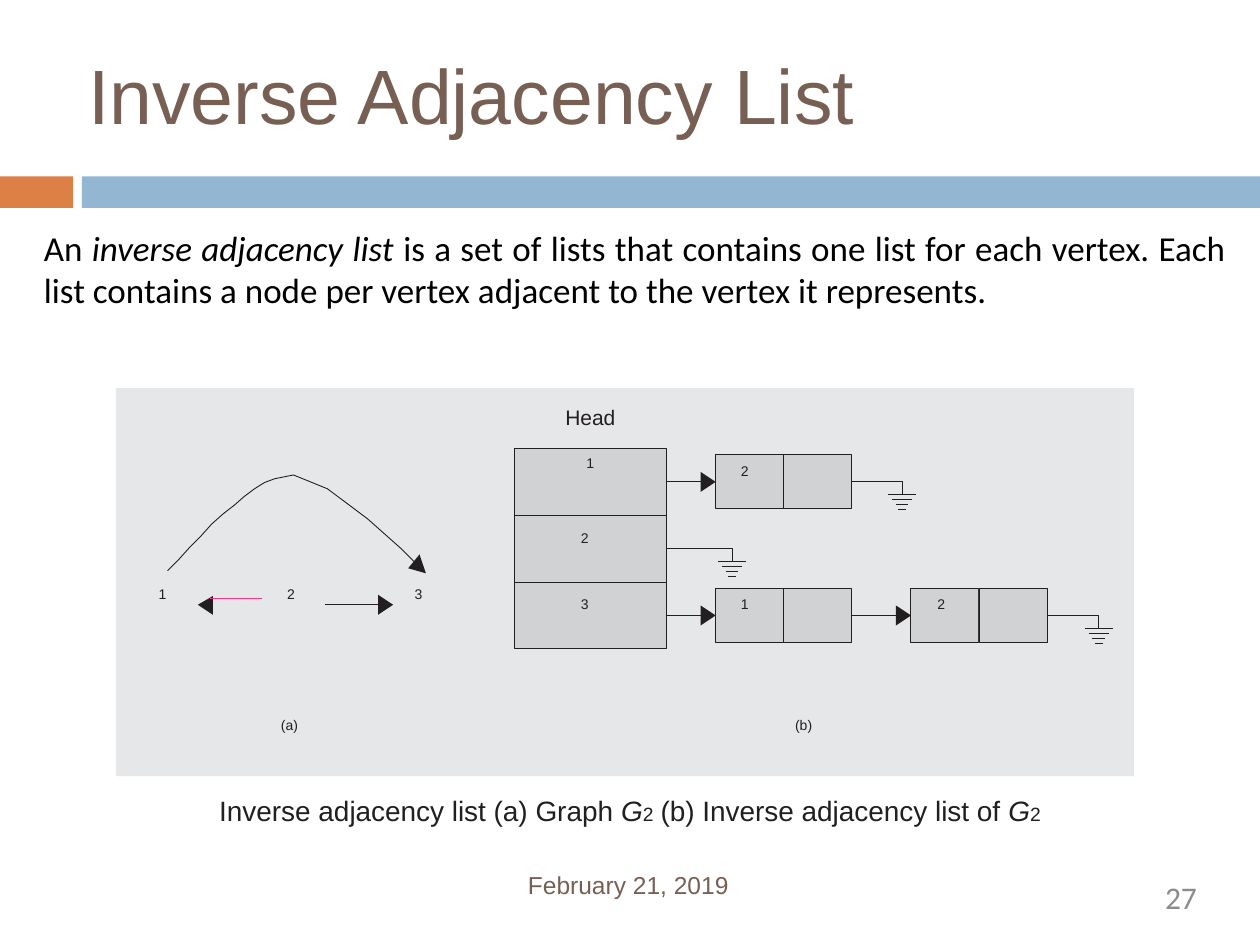
from lxml.etree import SubElement
from pptx import Presentation
from pptx.dml.color import RGBColor
from pptx.enum.shapes import MSO_CONNECTOR, MSO_SHAPE
from pptx.enum.text import MSO_ANCHOR, PP_ALIGN
from pptx.oxml.ns import qn
from pptx.util import Inches, Pt

INK, BROWN, CELL = "221F20", "775F54", "D1D2D4"

prs = Presentation()
prs.slide_width, prs.slide_height = Inches(10), Inches(7.5)
shapes = prs.slides.add_slide(prs.slide_layouts[6]).shapes


def paint(s, fill=None, line=None, width=0.5):
    """Set fill and line of a shape or connector, and drop its shadow."""
    if fill:
        s.fill.solid()
        s.fill.fore_color.rgb = RGBColor.from_string(fill)
    elif hasattr(s, "fill"):
        s.fill.background()
    if line:
        s.line.color.rgb = RGBColor.from_string(line)
        s.line.width = Pt(width)
    else:
        s.line.fill.background()
    SubElement(s._element.spPr, qn("a:effectLst"))


def text(x, y, w, h, *paras, size=8, color=INK, font="Arial", align=PP_ALIGN.LEFT,
         spacing=None, after=0, inset=(0, 0), anchor=MSO_ANCHOR.TOP):
    """Each paragraph is a list of (text, italic, size) runs; size may be None."""
    tf = shapes.add_textbox(Inches(x), Inches(y), Inches(w), Inches(h)).text_frame
    tf.word_wrap, tf.vertical_anchor = True, anchor
    tf.margin_left = tf.margin_right = Inches(inset[0])
    tf.margin_top = tf.margin_bottom = Inches(inset[1])
    for i, runs in enumerate(paras):
        p = tf.add_paragraph() if i else tf.paragraphs[0]
        p.alignment, p.line_spacing, p.space_after = align, spacing, Pt(after)
        for words, italic, run_size in runs:
            r = p.add_run()
            r.text = words
            r.font.name, r.font.size = font, Pt(run_size or size)
            r.font.italic = italic
            r.font.color.rgb = RGBColor.from_string(color)
    return tf


# Title, body, date and page number
text(0.7, 0.38, 8.6, 0.76, [("Inverse Adjacency List", False, None)], size=44, color=BROWN)
text(4.19, 6.92, 2.32, 0.24, [("February 21, 2019", False, None)],
     size=14, color=BROWN, spacing=Pt(15.8))
text(7.2, 6.97, 2.3, 0.38, [("27", False, None)],
     size=18, color="8C8C8C", font="Calibri", align=PP_ALIGN.RIGHT)
text(0.25, 1.75, 9.58, 0.77,
     [("An ", False, None), ("inverse adjacency list ", True, None),
      ("is a set of lists that contains one list for each vertex. Each list contains "
       "a node per vertex adjacent to the vertex it represents.", False, None)],
     size=20, color="000000", font="Calibri", align=PP_ALIGN.JUSTIFY, inset=(0.1, 0.05))

# Grid of the diagram: one row per vertex, nodes of two cells each
ROW, NODE_W, NODE_H = 0.53, 0.54, 0.43
HEAD_X, HEAD_W, TOP = 4.08, 1.21, 3.56
mid = [TOP + ROW * (i + 0.5) for i in range(3)]
HEAD_END = HEAD_X + HEAD_W
nodes = [(5.68, mid[0]), (5.68, mid[2]), (7.23, mid[2])]

# Header bars, panel, head column and list nodes
boxes = [(0, 1.4, 0.58, 0.25, "DD8046", None), (0.65, 1.4, 9.35, 0.25, "93B6D2", None),
         (0.92, 3.08, 8.08, 3.08, "E6E7E8", None)]
boxes += [(HEAD_X, TOP + ROW * i, HEAD_W, ROW, CELL, INK) for i in range(3)]
boxes += [(x + NODE_W * c, y - NODE_H / 2, NODE_W, NODE_H, CELL, INK)
          for x, y in nodes for c in range(2)]
for x, y, w, h, fill, line in boxes:
    paint(shapes.add_shape(MSO_SHAPE.RECTANGLE, Inches(x), Inches(y), Inches(w), Inches(h)),
          fill, line)

# Outlines: (points, closed) with closed ones filled
curve = [(1.33, 4.53), (1.42, 4.44), (1.51, 4.34), (1.6, 4.25), (1.68, 4.16), (1.77, 4.08),
         (1.86, 4.01), (1.94, 3.94), (2.02, 3.88), (2.1, 3.83), (2.18, 3.8), (2.33, 3.77),
         (2.6, 3.88), (2.92, 4.12), (3.19, 4.36), (3.3, 4.47)]
outlines = [(curve, False),
            ([(3.33, 4.4), (3.24, 4.51), (3.38, 4.55)], True),
            ([(1.69, 4.73), (1.57, 4.8), (1.69, 4.88)], True)]
lines = []

# Arrows to the right: start, tip, height
for start, tip, y in [(HEAD_END, 5.68, mid[0]), (HEAD_END, 5.68, mid[2]),
                      (6.76, 7.23, mid[2]), (2.58, 3.12, 4.8)]:
    lines.append((start, y, tip - 0.1, y, INK, 0.5))
    outlines.append(([(tip - 0.12, y - 0.08), (tip - 0.12, y + 0.08), (tip, y)], True))

# Ground symbols that end each list: start, stem, height
for start, stem, y in [(HEAD_END, 5.81, mid[1]), (6.76, 7.16, mid[0]), (8.31, 8.72, mid[2])]:
    outlines.append(([(start, y), (stem, y), (stem, y + 0.1)], False))
    for i, w in enumerate((0.22, 0.16, 0.1, 0.06)):
        bar = y + 0.1 + 0.04 * i
        lines.append((stem - w / 2, bar, stem + w / 2, bar, INK, 0.5))

for points, closed in outlines:
    fb = shapes.build_freeform(Inches(points[0][0]), Inches(points[0][1]))
    fb.add_line_segments([(Inches(x), Inches(y)) for x, y in points[1:]], close=closed)
    paint(fb.convert_to_shape(), INK if closed else None, None if closed else INK)

lines.append((2.08, 4.75, 1.67, 4.75, "FE3288", 0.75))
for x1, y1, x2, y2, color, width in lines:
    paint(shapes.add_connector(MSO_CONNECTOR.STRAIGHT, Inches(x1), Inches(y1),
                               Inches(x2), Inches(y2)), line=color, width=width)

# Labels
for label, x, y in [("(a)", 2.23, 5.73), ("(b)", 6.31, 5.73),
                    ("1", 1.26, 4.69), ("2", 2.28, 4.69), ("3", 3.29, 4.69),
                    ("2", 4.61, 4.24), ("3", 4.61, 4.77), ("2", 5.88, 3.71),
                    ("1", 5.88, 4.77), ("2", 7.44, 4.77)]:
    text(x, y, 0.16 * (2 if len(label) > 1 else 1), 0.26, [(label, False, None)],
         spacing=0.67, after=10)
tf = text(4.39, 3.27, 0.59, 0.7, [("Head", False, 12)], [("1", False, None)],
          align=PP_ALIGN.CENTER, spacing=0.67, after=10)
tf.paragraphs[1].line_spacing, tf.paragraphs[1].space_before = 1.0, Pt(4.8)

# Caption
text(0.21, 6.25, 9.58, 0.37,
     [("Inverse adjacency list (a) Graph ", False, None), ("G", True, None),
      ("2", False, 11), (" ", False, 14), ("(b) Inverse adjacency list of ", False, None),
      ("G", True, None), ("2", False, 11)],
     size=16, align=PP_ALIGN.CENTER, inset=(0.1, 0.05), anchor=MSO_ANCHOR.MIDDLE)

prs.save("out.pptx")
